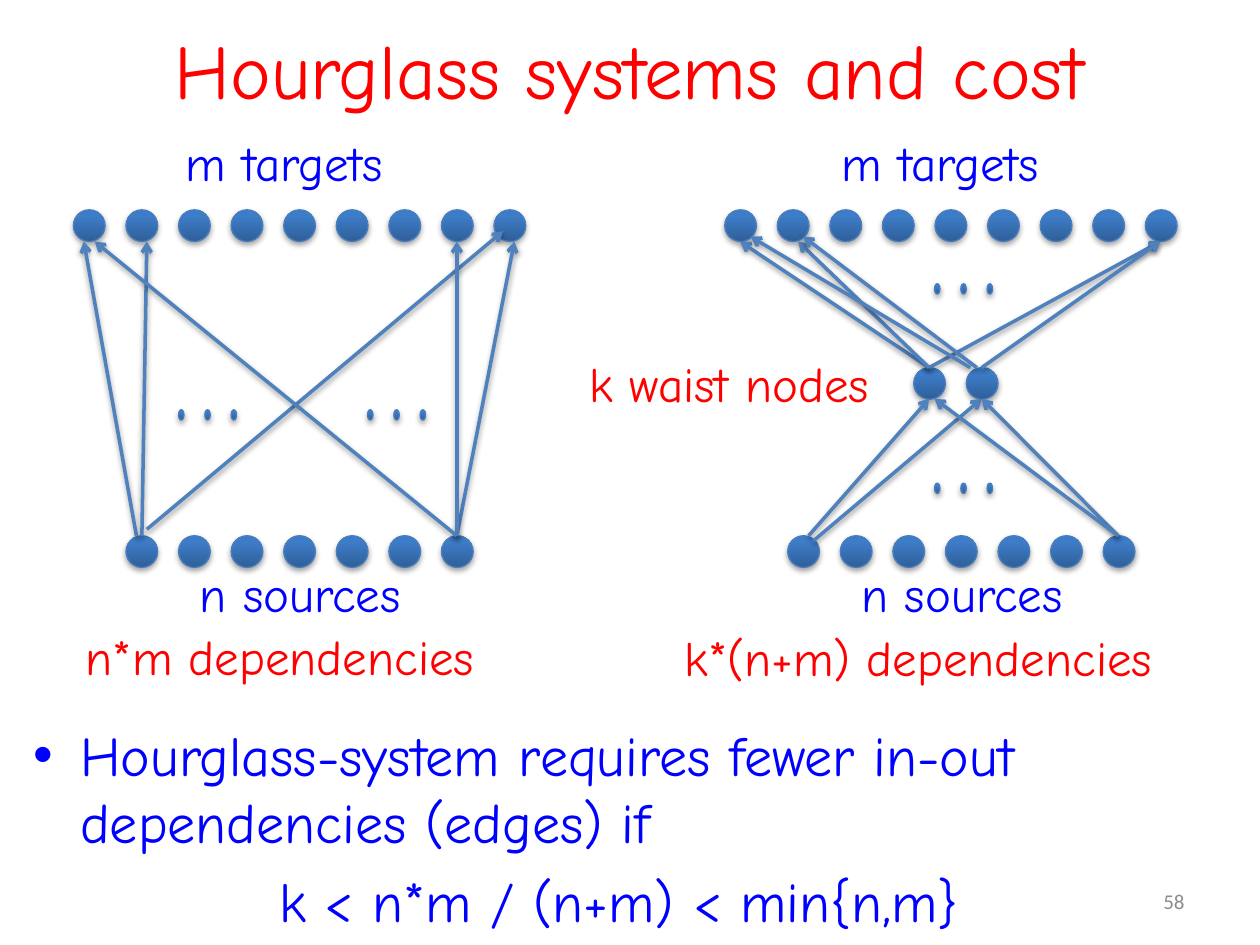
from lxml import etree
from pptx import Presentation
from pptx import util as u
from pptx.dml.color import RGBColor
from pptx.enum import shapes, text
from pptx.oxml import parse_xml
from pptx.oxml.ns import nsdecls, qn

RED = RGBColor(0xFF, 0x00, 0x00)
BLUE = RGBColor(0x00, 0x00, 0xFF)
GREY = RGBColor(0x8C, 0x8C, 0x8C)
NODE_LINE = RGBColor(0x4B, 0x7E, 0xBC)
ARROW_LINE = RGBColor(0x4F, 0x81, 0xBD)
GRADIENT = (
    (0, RGBColor(0x2F, 0x5F, 0x99)),
    (80, RGBColor(0x3D, 0x7C, 0xC7)),
    (100, RGBColor(0x3A, 0x7C, 0xCB)),
)

HAND = "Comic Neue"
NODE, NODE_PITCH = 0.64, 1.06
DOT_W, DOT_H, DOT_PITCH = 0.11, 0.21, 0.53
TARGET_Y, WAIST_Y, SOURCE_Y = 4.23, 7.41, 10.8

NODE_ROWS = [
    (1.48, TARGET_Y, 9), (14.61, TARGET_Y, 9),
    (2.54, SOURCE_Y, 7), (15.88, SOURCE_Y, 7),
    (18.42, WAIST_Y, 2),
]
DOT_ROWS = [(3.6, 8.26), (7.41, 8.26), (18.84, 5.72), (18.84, 9.74)]
ARROWS = [
    (2.75, 10.8, 1.69, 4.87), (2.86, 10.8, 2.96, 4.87), (2.96, 10.67, 10.14, 4.66),
    (9.21, 10.8, 10.37, 4.87), (9.21, 10.8, 9.21, 4.87), (9.21, 10.8, 1.91, 4.87),
    (16.3, 10.8, 18.73, 8.04), (16.4, 10.9, 19.79, 8.04),
    (18.73, 7.41, 14.92, 4.87), (18.73, 7.41, 23.39, 4.87), (18.73, 7.41, 16.09, 4.87),
    (19.69, 7.41, 16.19, 4.77), (19.79, 7.41, 23.39, 4.87), (19.56, 7.41, 15.13, 4.77),
    (22.54, 10.8, 19.79, 8.04), (22.54, 10.8, 18.84, 8.04),
]
LABELS = [
    ("m targets", 3.5, 2.54, 5.08, BLUE),
    ("m targets", 16.72, 2.54, 5.08, BLUE),
    ("n sources", 3.78, 11.23, 4.88, BLUE),
    ("n sources", 17.12, 11.23, 4.88, BLUE),
    ("k waist nodes", 11.64, 7.01, 6.73, RED),
    ("n*m dependencies", 1.48, 12.5, 8.84, RED),
    ("k*(n+m) dependencies", 13.55, 12.52, 10.59, RED),
]


def apply(target, values):
    for name, value in values.items():
        setattr(target, name, value)


def add_shadow(sp, alpha, dist):
    sp._element.spPr.append(parse_xml(
        f'<a:effectLst {nsdecls("a")}>'
        f'<a:outerShdw blurRad="40000" dist="{dist}" dir="5400000" rotWithShape="0">'
        f'<a:srgbClr val="000000"><a:alpha val="{alpha * 1000}"/></a:srgbClr>'
        '</a:outerShdw></a:effectLst>'))


def add_ellipse(s, x, y, w, h):
    sp = s.shapes.add_shape(shapes.MSO_SHAPE.OVAL, u.Cm(x), u.Cm(y), u.Cm(w), u.Cm(h))
    sp.line.color.rgb = NODE_LINE
    sp.line.width = u.Pt(0.75)
    stops = "".join(
        f'<a:gs pos="{pos * 1000}"><a:srgbClr val="{color}"/></a:gs>'
        for pos, color in GRADIENT)
    sp._element.spPr.find(qn("a:ln")).addprevious(parse_xml(
        f'<a:gradFill {nsdecls("a")} rotWithShape="1"><a:gsLst>{stops}</a:gsLst>'
        '<a:lin ang="16200000" scaled="0"/></a:gradFill>'))
    add_shadow(sp, 35, 23000)


def add_row(s, x, y, count, w, h, pitch):
    for i in range(count):
        add_ellipse(s, x + i * pitch, y, w, h)


def add_arrow(s, *ends):
    cx = s.shapes.add_connector(shapes.MSO_CONNECTOR.STRAIGHT, *map(u.Cm, ends))
    cx.line.color.rgb = ARROW_LINE
    cx.line.width = u.Pt(2)
    etree.SubElement(cx.line._get_or_add_ln(), qn("a:tailEnd"), type="arrow")
    add_shadow(cx, 38, 20000)


def add_text(s, box, lines, size, color, font=HAND, align=text.PP_ALIGN.LEFT,
             anchor=text.MSO_ANCHOR.TOP, wrap=True):
    tf = s.shapes.add_textbox(*map(u.Cm, box)).text_frame
    apply(tf, {"word_wrap": wrap, "vertical_anchor": anchor})
    for i, line in enumerate(lines):
        p = tf.paragraphs[0] if i == 0 else tf.add_paragraph()
        p.alignment = align
        r = p.add_run()
        r.text = line
        apply(r.font, {"size": u.Pt(size), "name": font})
        r.font.color.rgb = color
    return tf


def add_bullet(p, indent):
    pPr = p._p.get_or_add_pPr()
    pPr.set("marL", str(u.Cm(indent)))
    pPr.set("indent", str(-u.Cm(indent)))
    etree.SubElement(pPr, qn("a:buFont"), typeface="Arial")
    etree.SubElement(pPr, qn("a:buChar"), char="•")


def add_conclusion(s):
    lines = ["Hourglass-system requires fewer in-out dependencies (edges) if",
             "k < n*m / (n+m) < min{n,m}"]
    tf = add_text(s, (0.42, 14.4, 24.13, 4.24), lines, 32, BLUE)
    claim, formula = tf.paragraphs
    add_bullet(claim, 0.95)
    apply(formula, {"alignment": text.PP_ALIGN.CENTER, "space_before": u.Pt(6.4)})


def main():
    prs = Presentation()
    apply(prs, {"slide_width": u.Cm(25.4), "slide_height": u.Cm(19.05)})
    s = prs.slides.add_slide(prs.slide_layouts[6])
    add_text(s, (1.27, -0.2, 22.86, 3.17), ["Hourglass systems and cost"], 44, RED,
             align=text.PP_ALIGN.CENTER, anchor=text.MSO_ANCHOR.MIDDLE)
    add_text(s, (18.21, 17.65, 5.92, 1.02), ["58"], 12, GREY, font="Calibri",
             align=text.PP_ALIGN.RIGHT, anchor=text.MSO_ANCHOR.MIDDLE)
    for x, y, count in NODE_ROWS:
        add_row(s, x, y, count, NODE, NODE, NODE_PITCH)
    for ends in ARROWS:
        add_arrow(s, *ends)
    for x, y in DOT_ROWS:
        add_row(s, x, y, 3, DOT_W, DOT_H, DOT_PITCH)
    for label, x, y, w, color in LABELS:
        add_text(s, (x, y, w, 1.45), [label], 28, color, wrap=False)
    add_conclusion(s)
    prs.save("out.pptx")


if __name__ == "__main__":
    main()
